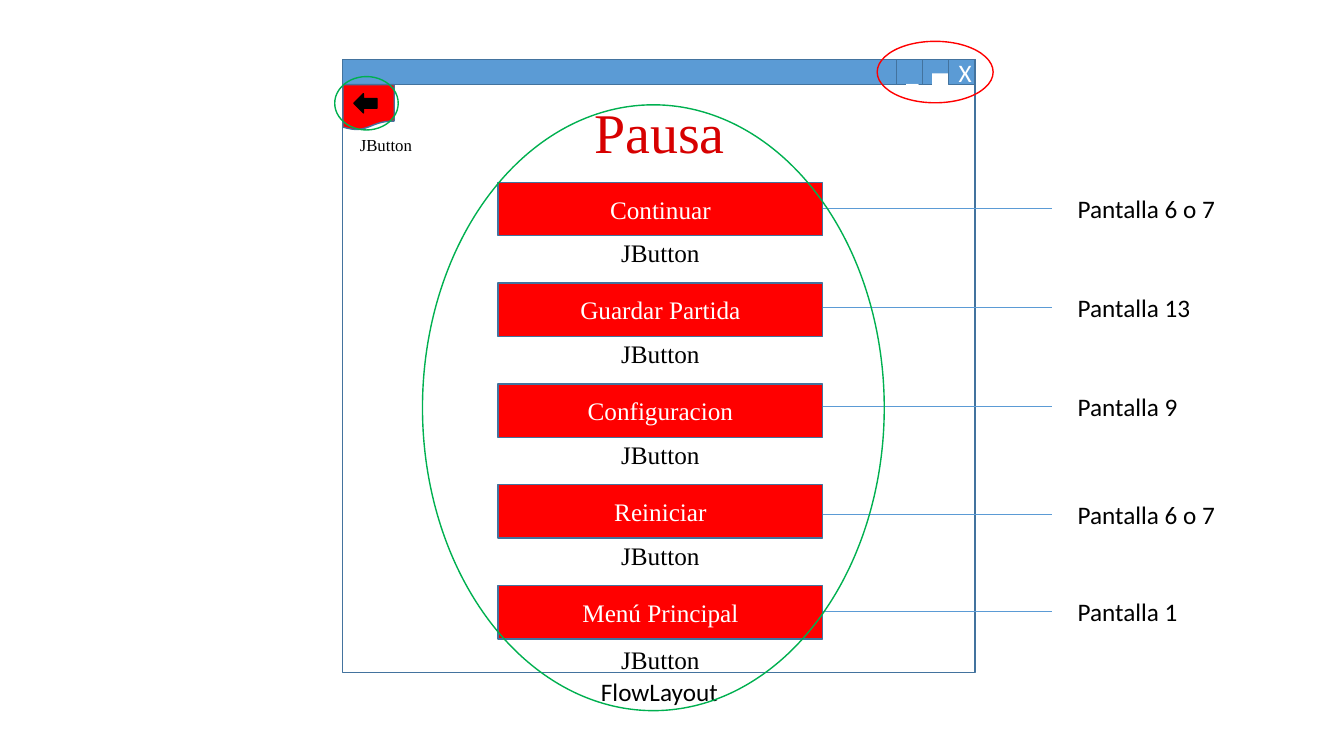
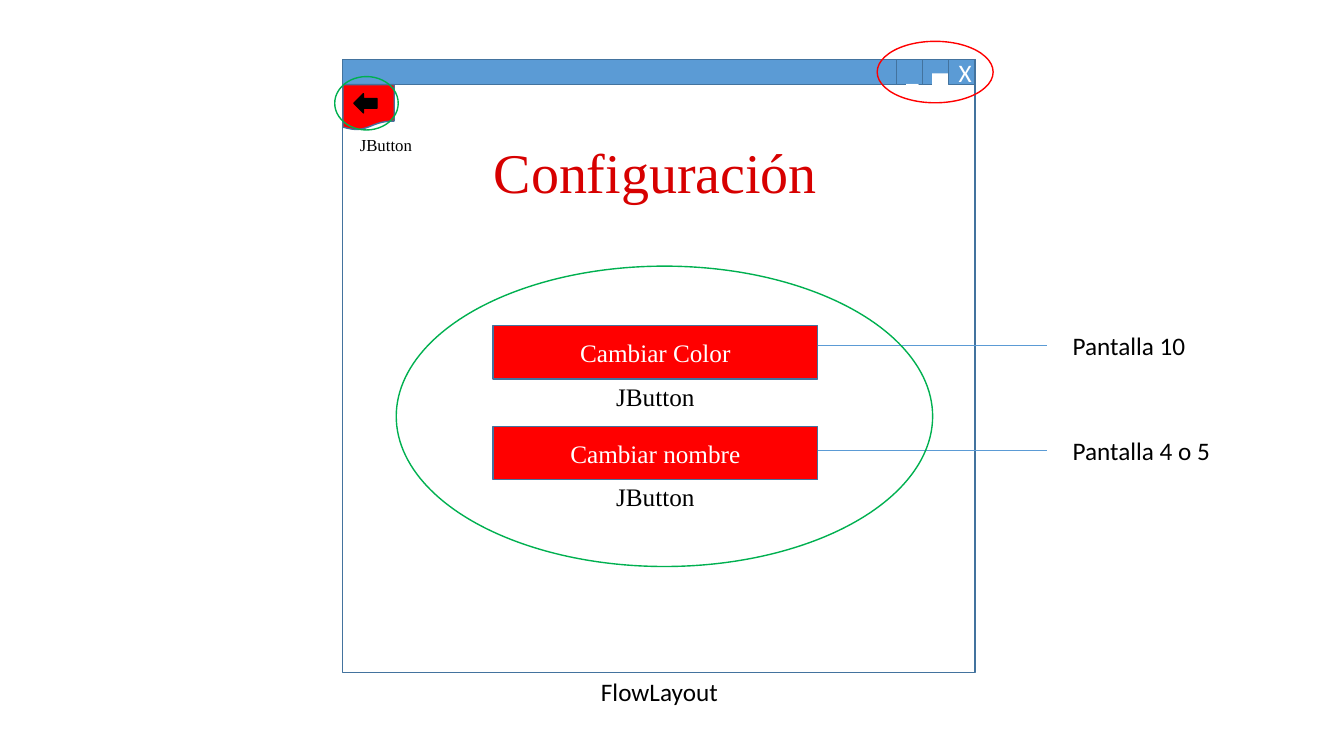
"""Build two annotated mock-ups of a game's menu windows."""
from lxml.etree import SubElement
from pptx import Presentation
from pptx.dml.color import RGBColor
from pptx.enum.shapes import MSO_CONNECTOR, MSO_SHAPE
from pptx.enum.text import MSO_ANCHOR, MSO_AUTO_SIZE, PP_ALIGN
from pptx.oxml.ns import qn
from pptx.util import Inches, Pt

SCREENS = [
    {
        "title": "Pausa", "title_box": (3.6, 0.92, 5.88, 0.77),
        "left": 4.94, "top": 1.81, "group": (4.19, 1.04, 4.58, 6.01),
        "buttons": [
            ("Continuar", "Pantalla 6 o 7", 2.07, 0.5),
            ("Guardar Partida", "Pantalla 13", 3.05, 0.5),
            ("Configuracion", "Pantalla 9", 4.03, 0.5),
            ("Reiniciar", "Pantalla 6 o 7", 5.1, 0.5),
            ("Menú Principal", "Pantalla 1", 6.07, 0.53),
        ],
    },
    {
        "title": "Configuración", "title_box": (3.56, 1.31, 5.88, 0.77),
        "left": 4.89, "top": 3.23, "group": (3.93, 2.64, 5.32, 2.98),
        "buttons": [
            ("Cambiar Color", "Pantalla 10", 3.43, 0.5),
            ("Cambiar nombre", "Pantalla 4 o 5", 4.47, 0.5),
        ],
    },
]
WINDOW_CONTROLS = ["_", "▄", "X"]
WINDOW_LEFT, WINDOW_TOP, WINDOW_WIDTH = 3.4, 0.59, 6.27
BAR_HEIGHT, CONTROL_WIDTH, BODY_HEIGHT = 0.25, 0.26, 5.83
BUTTON_WIDTH, BUTTON_HEIGHT, BUTTON_STEP = 3.22, 0.53, 1.0
CAPTION_WIDTH, LINE_LENGTH, TARGET_OFFSET = 1.0, 2.27, 5.65

BLUE, OUTLINE, RED, GREEN = "5B9BD5", "43739E", "FF0000", "00B050"
WHITE, BLACK, TITLE_RED = "FFFFFF", "000000", "D70000"
SERIF, SANS = "Times New Roman", "Calibri"
TITLE_STYLE = {"name": SERIF, "size": Pt(40)}
BUTTON_STYLE = {"name": SERIF, "size": Pt(18)}
SMALL_STYLE = {"name": SERIF, "size": Pt(12)}
LABEL_STYLE = {"name": SANS, "size": Pt(18)}


def color(value):
    """Turn a hex string into a colour."""
    return RGBColor.from_string(value)


def write(shape, text, style, text_color, align=PP_ALIGN.CENTER):
    """Put one formatted paragraph into a shape."""
    paragraph = shape.text_frame.paragraphs[0]
    paragraph.alignment = align
    run = paragraph.add_run()
    run.text = text
    for name, value in style.items():
        setattr(run.font, name, value)
    run.font.color.rgb = color(text_color)


def add_box(slide, kind, box, fill=None, line=OUTLINE):
    """Add a flat preset shape."""
    shape = slide.shapes.add_shape(kind, *map(Inches, box))
    shape.shadow.inherit = False
    if fill:
        shape.fill.solid()
        shape.fill.fore_color.rgb = color(fill)
    else:
        shape.fill.background()
    shape.line.color.rgb = color(line)
    shape.line.width = Pt(1)
    return shape


def add_label(slide, box, text, style, align=PP_ALIGN.CENTER):
    """Add a black text box."""
    shape = slide.shapes.add_textbox(*map(Inches, box))
    shape.text_frame.word_wrap = True
    write(shape, text, style, BLACK, align)


def add_line(slide, left, top):
    """Add a thin level line from a button to its target."""
    points = (left, top, left + LINE_LENGTH, top)
    connector = slide.shapes.add_connector(MSO_CONNECTOR.STRAIGHT, *map(Inches, points))
    connector.line.color.rgb = color(BLUE)
    connector.line.width = Pt(0.5)
    SubElement(connector._element.spPr, qn("a:effectLst"))


def add_title(slide, text, box):
    """Move and fill the title placeholder."""
    title = slide.shapes.title
    title.left, title.top, title.width, title.height = map(Inches, box)
    frame = title.text_frame
    frame.vertical_anchor = MSO_ANCHOR.TOP
    frame.auto_size = MSO_AUTO_SIZE.NONE
    write(title, text, TITLE_STYLE, TITLE_RED)


def add_window(slide):
    """Draw the window frame, its title bar and the back button."""
    body_top = WINDOW_TOP + BAR_HEIGHT
    add_box(slide, MSO_SHAPE.RECTANGLE, (WINDOW_LEFT, body_top, WINDOW_WIDTH, BODY_HEIGHT))
    add_box(slide, MSO_SHAPE.RECTANGLE, (WINDOW_LEFT, WINDOW_TOP, WINDOW_WIDTH, BAR_HEIGHT), BLUE)
    first_left = WINDOW_LEFT + WINDOW_WIDTH - len(WINDOW_CONTROLS) * CONTROL_WIDTH
    for index, symbol in enumerate(WINDOW_CONTROLS):
        box = (first_left + index * CONTROL_WIDTH, WINDOW_TOP, CONTROL_WIDTH, BAR_HEIGHT)
        write(add_box(slide, MSO_SHAPE.RECTANGLE, box, BLUE), symbol, LABEL_STYLE, WHITE)
    add_box(slide, MSO_SHAPE.FLOWCHART_DOCUMENT, (WINDOW_LEFT, body_top, 0.51, 0.45), RED)
    add_box(slide, MSO_SHAPE.LEFT_ARROW, (3.51, 0.93, 0.23, 0.19), BLACK, BLACK)


def add_button(slide, left, top, button):
    """Add a menu button with its caption, line and target screen."""
    text, target, line_top, caption_offset = button
    box = (left, top, BUTTON_WIDTH, BUTTON_HEIGHT)
    write(add_box(slide, MSO_SHAPE.RECTANGLE, box, RED), text, BUTTON_STYLE, WHITE)
    caption_left = left + (BUTTON_WIDTH - CAPTION_WIDTH) / 2
    add_label(slide, (caption_left, top + caption_offset, CAPTION_WIDTH, 0.4), "JButton", BUTTON_STYLE)
    add_line(slide, left + BUTTON_WIDTH, line_top)
    target_box = (left + TARGET_OFFSET, line_top - 0.2, 1.7, 0.4)
    add_label(slide, target_box, target, LABEL_STYLE, PP_ALIGN.LEFT)


def add_annotations(slide, group):
    """Name the layout and circle the grouped controls."""
    add_label(slide, (3.47, 1.29, 0.8, 0.3), "JButton", SMALL_STYLE, PP_ALIGN.LEFT)
    add_label(slide, (5.84, 6.66, 1.4, 0.4), "FlowLayout", LABEL_STYLE)
    circles = [((8.7, 0.41, 1.15, 0.61), RED), (group, GREEN), ((3.32, 0.76, 0.63, 0.53), GREEN)]
    for box, line in circles:
        add_box(slide, MSO_SHAPE.OVAL, box, line=line)


def main():
    """Build and save the presentation."""
    presentation = Presentation()
    presentation.slide_width = Inches(13.33)
    presentation.slide_height = Inches(7.5)
    for screen in SCREENS:
        slide = presentation.slides.add_slide(presentation.slide_layouts.get_by_name("Title Only"))
        add_window(slide)
        add_title(slide, screen["title"], screen["title_box"])
        for index, button in enumerate(screen["buttons"]):
            add_button(slide, screen["left"], screen["top"] + index * BUTTON_STEP, button)
        add_annotations(slide, screen["group"])
    presentation.save("out.pptx")


if __name__ == "__main__":
    main()
